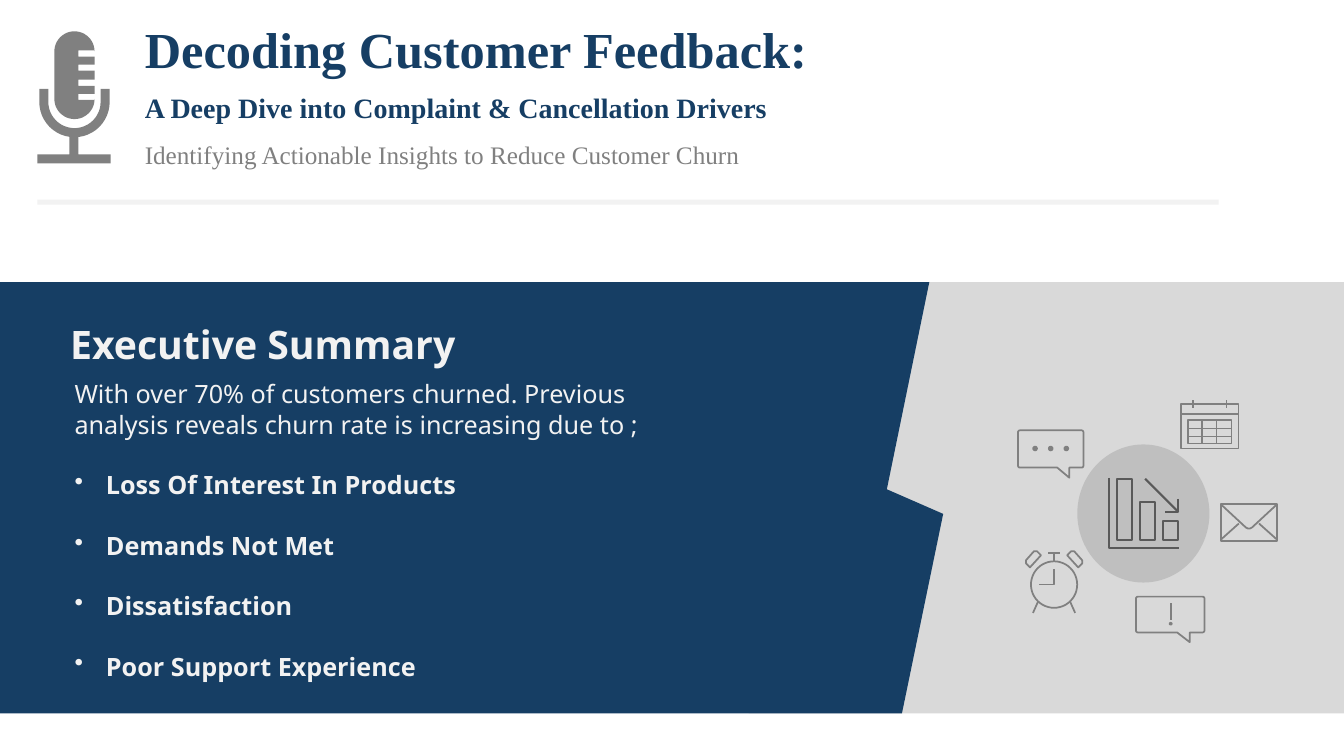
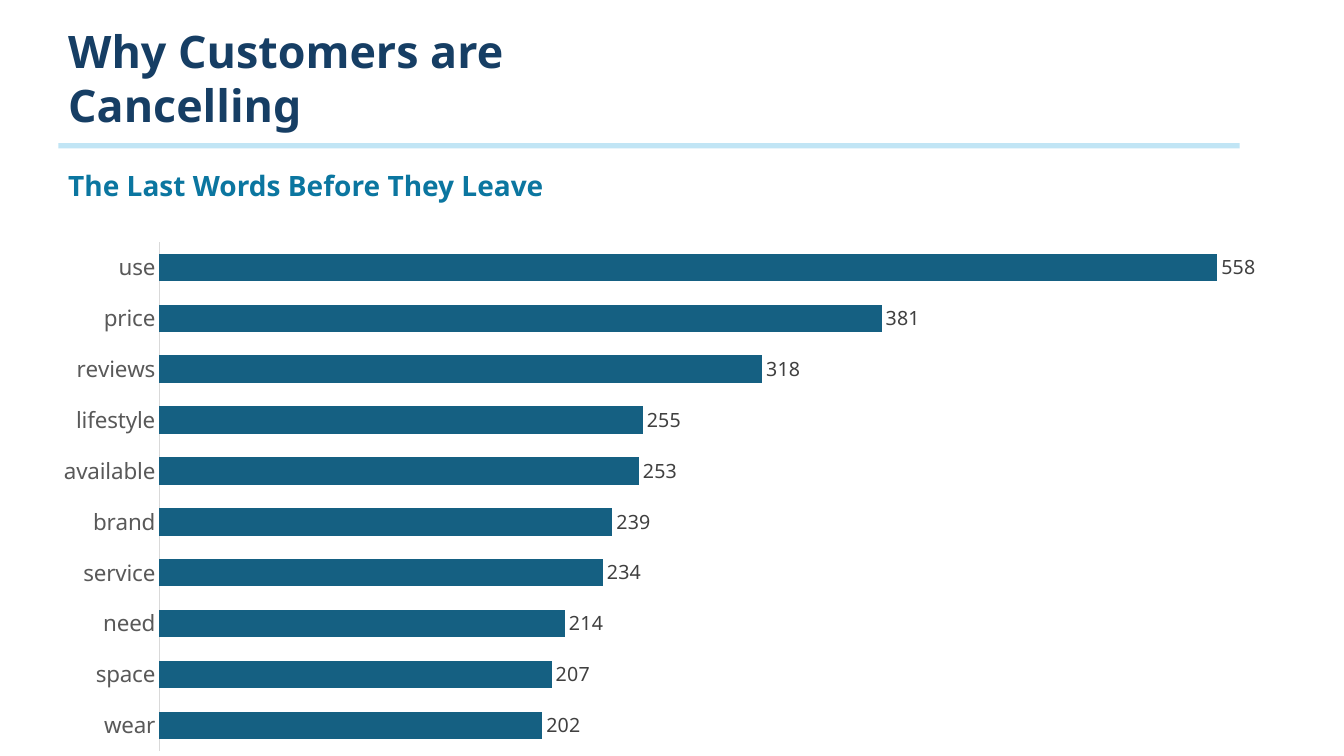
import dataclasses
import math

import lxml.etree
import pptx
import pptx.chart.data
import pptx.dml.color
import pptx.enum.chart
import pptx.enum.shapes
import pptx.oxml.ns
import pptx.util

COLORS = {
    "navy": "163E64",
    "blue": "0B76A0",
    "pale_blue": "C1E5F5",
    "bar": "156082",
    "panel": "D9D9D9",
    "disc": "BFBFBF",
    "grey": "808080",
    "dark_grey": "595959",
    "label": "404040",
    "light": "F2F2F2",
}
SANS = "Noto Sans"
SERIF = "Times New Roman"
LINE_HEIGHT = 1.2
SLIDE_WIDTH, SLIDE_HEIGHT = 33.87, 19.05

REASONS = ["Loss Of Interest In Products", "Demands Not Met",
           "Dissatisfaction", "Poor Support Experience"]
WORD_COUNTS = {
    "wear": 202, "space": 207, "need": 214, "service": 234, "brand": 239,
    "available": 253, "lifestyle": 255, "reviews": 318, "price": 381, "use": 558,
}


@dataclasses.dataclass
class Box:
    """A rectangle in centimetres."""
    left: float
    top: float
    width: float
    height: float

    def lengths(self):
        return [pptx.util.Cm(value) for value in dataclasses.astuple(self)]

    def inner(self, left, top, width, height):
        return Box(self.left + left, self.top + top, width, height)


def rgb(name):
    return pptx.dml.color.RGBColor.from_string(COLORS[name])


def paint(shape, fill=None, line=None, weight=1.25):
    shape.shadow.inherit = False
    if fill:
        shape.fill.solid()
        shape.fill.fore_color.rgb = rgb(fill)
    else:
        shape.fill.background()
    if line:
        shape.line.color.rgb = rgb(line)
        shape.line.width = pptx.util.Pt(weight)
    else:
        shape.line.fill.background()


def add_preset(slide, kind, box, fill):
    shape = slide.shapes.add_shape(kind, *box.lengths())
    paint(shape, fill)


def add_outline(slide, box, grid, contours, fill=None, line=None, weight=1.25, closed=False):
    """Draw contours, given in grid units, stretched to the box."""
    def to_slide(point):
        return (pptx.util.Cm(box.left + point[0] * box.width / grid[0]),
                pptx.util.Cm(box.top + point[1] * box.height / grid[1]))

    first, *others = [[to_slide(point) for point in contour] for contour in contours]
    builder = slide.shapes.build_freeform(*first[0])
    builder.add_line_segments(first[1:], close=closed)
    for contour in others:
        builder.move_to(*contour[0])
        builder.add_line_segments(contour[1:], close=closed)
    paint(builder.convert_to_shape(), fill, line, weight)


def arc(center_x, center_y, radius, start, end, steps=24):
    """Points along an arc; angles in degrees, clockwise from the right."""
    angles = [math.radians(start + (end - start) * step / steps) for step in range(steps + 1)]
    return [(center_x + radius * math.cos(angle), center_y + radius * math.sin(angle))
            for angle in angles]


def rectangle(left, top, right, bottom):
    return [(left, top), (right, top), (right, bottom), (left, bottom), (left, top)]


def add_text(slide, box, lines, size, color, font=SANS, bold=False):
    shape = slide.shapes.add_textbox(*box.lengths())
    frame = shape.text_frame
    frame.word_wrap = True
    for index, line in enumerate(lines):
        paragraph = frame.paragraphs[0] if index == 0 else frame.add_paragraph()
        if font == SANS:
            paragraph.line_spacing = pptx.util.Pt(size * LINE_HEIGHT)
        run = paragraph.add_run()
        run.text = line
        run.font.name = font
        run.font.size = pptx.util.Pt(size)
        run.font.bold = bold
        run.font.color.rgb = rgb(color)
    return frame


def make_bullet(paragraph, gap):
    paragraph.space_before = pptx.util.Pt(gap)
    properties = paragraph._p.get_or_add_pPr()
    indent = pptx.util.Cm(0.79)
    properties.set("marL", str(indent))
    properties.set("indent", str(-indent))
    lxml.etree.SubElement(properties, pptx.oxml.ns.qn("a:buChar"), char="•")


def add_rule(slide, left, top, color):
    add_preset(slide, pptx.enum.shapes.MSO_SHAPE.RECTANGLE, Box(left, top, 29.77, 0.13), color)


def draw_microphone(slide, box):
    grid = (73, 131)
    capsule = arc(37, 20, 20, 180, 360)
    for top in (19, 33, 48, 62):
        capsule += [(57, top), (41, top), (41, top + 6), (57, top + 6)]
    capsule += arc(37, 67, 20, 0, 180)
    yoke = [(2, 57), *arc(37, 70, 35, 180, 0), (72, 57),
            (63, 57), *arc(37, 70, 26, 0, 180), (11, 57)]
    stand = [(32, 104), (41, 104), (41, 122), (73, 122), (73, 131),
             (0, 131), (0, 122), (32, 122)]
    for contour in (capsule, yoke, stand):
        add_outline(slide, box, grid, [contour], fill="grey", closed=True)


def draw_bubble(slide, box, strokes, dots):
    grid = (67, 50)
    bubble = [*arc(3, 3, 2, 180, 270, 6), *arc(64, 3, 2, 270, 360, 6),
              *arc(64, 36, 2, 0, 90, 6), (52, 38), (52, 48), (40, 38),
              *arc(3, 36, 2, 90, 180, 6), (1, 3)]
    add_outline(slide, box, grid, [bubble, *strokes], line="grey")
    add_outline(slide, box, grid, [arc(x, y, radius, 0, 360) for x, y, radius in dots],
                fill="grey", closed=True)


def draw_alarm_clock(slide, box):
    bell = [(14, 2), (18, 6), (7, 18), (3, 14), (3, 11), (11, 2), (14, 2)]
    leg = [(15, 52), (10, 63)]
    sides = [bell, leg]
    sides += [[(62 - x, y) for x, y in contour] for contour in sides]
    face = [arc(31, 35, 23, 0, 360, 48), [(31, 20), (31, 35), (16, 35)]]
    button = [[(31, 12), (31, 4)], [(25, 4), (37, 4)]]
    add_outline(slide, box, (62, 64), sides + face + button, line="grey")


def draw_calendar(slide, box):
    page = [rectangle(1, 5, 58, 49), [(1, 15), (58, 15)]]
    rings = [[(x, 1), (x, 9)] for x in (13, 46)]
    days = [rectangle(8, 21, 51, 44)]
    days += [[(8, y), (51, y)] for y in (29, 37)]
    days += [[(x, 21), (x, 44)] for x in (22, 36)]
    add_outline(slide, box, (59, 50), page + rings + days, line="grey")


def draw_envelope(slide, box):
    flap = [(1, 1), (26, 24), (28, 25), (30, 25), (32, 24), (57, 1)]
    folds = [[(1, 36), (19, 20)], [(57, 36), (39, 20)]]
    add_outline(slide, box, (58, 38), [rectangle(1, 1, 57, 37), flap, *folds], line="grey")


def draw_falling_bars(slide, box):
    axes = [(1, 0), (1, 70), (71, 70)]
    bars = [rectangle(left, top, left + 15, 62) for left, top in ((9, 1), (32, 24), (55, 43))]
    arrow = [[(37, 1), (70, 34)], [(70, 21), (70, 34), (57, 34)]]
    add_outline(slide, box, (71, 71), [axes, *bars, *arrow], line="dark_grey", weight=1.5)


def draw_contact_icons(slide, box):
    draw_bubble(slide, box.inner(0, 0.76, 1.7, 1.27), [],
                [(x, 19, 2.7) for x in (18, 33.5, 49)])
    draw_bubble(slide, box.inner(2.97, 4.95, 1.78, 1.22), [[(34, 8), (34, 25)]],
                [(34, 29, 1.8)])
    draw_alarm_clock(slide, box.inner(0.15, 3.78, 1.57, 1.63))
    draw_calendar(slide, box.inner(4.11, 0, 1.5, 1.27))
    draw_envelope(slide, box.inner(5.11, 2.62, 1.47, 0.97))
    add_preset(slide, pptx.enum.shapes.MSO_SHAPE.OVAL, box.inner(1.52, 1.14, 3.33, 3.48), "disc")
    draw_falling_bars(slide, box.inner(2.29, 1.98, 1.8, 1.8))


def add_headline(slide, box):
    draw_microphone(slide, box.inner(0, 0.46, 1.85, 3.33))
    add_text(slide, box.inner(2.46, 0, 23.4, 1.8), ["Decoding Customer Feedback:"],
             36, "navy", SERIF, True)
    add_text(slide, box.inner(2.46, 1.83, 23.4, 1.12),
             ["A Deep Dive into Complaint & Cancellation Drivers"], 20, "navy", SERIF, True)
    add_text(slide, box.inner(2.46, 3.05, 23.4, 1.02),
             ["Identifying Actionable Insights to Reduce Customer Churn"], 18, "grey", SERIF)
    add_rule(slide, box.left, box.top + 4.7, "light")


def add_summary_band(slide, box):
    panel_left = 18.87
    add_preset(slide, pptx.enum.shapes.MSO_SHAPE.RECTANGLE,
               box.inner(panel_left, 0, box.width - panel_left, box.height), "panel")
    edge = [(0, 0), (23.42, 0), (22.35, 5.22), (23.77, 5.84), (22.73, box.height),
            (0, box.height)]
    add_outline(slide, box, (box.width, box.height), [edge], fill="navy", closed=True)
    draw_contact_icons(slide, box.inner(25.63, 2.95, 6.58, 6.17))

    add_text(slide, box.inner(1.52, 0.84, 12, 1.45), ["Executive Summary"],
             28, "light", bold=True)
    size = 18
    introduction = ("With over 70% of customers churned. Previous analysis reveals "
                    "churn rate is increasing due to ;")
    frame = add_text(slide, box.inner(1.63, 2.31, 16.2, 10.26), [introduction, *REASONS],
                     size, "light")
    for paragraph in frame.paragraphs[1:]:
        paragraph.runs[0].font.bold = True
        make_bullet(paragraph, size * LINE_HEIGHT)


def set_plot_area(chart, **fractions):
    """Fix the inner plot area as fractions of the chart."""
    qn = pptx.oxml.ns.qn
    plot_area = chart._chartSpace.find(".//" + qn("c:plotArea"))
    for layout in plot_area.findall(qn("c:layout")):
        plot_area.remove(layout)
    layout = lxml.etree.Element(qn("c:layout"))
    plot_area.insert(0, layout)
    manual = lxml.etree.SubElement(layout, qn("c:manualLayout"))
    settings = {"layoutTarget": "inner", "xMode": "edge", "yMode": "edge", **fractions}
    for name, value in settings.items():
        lxml.etree.SubElement(manual, qn("c:" + name), val=str(value))


def style_font(font, size, color):
    font.name = SANS
    font.size = pptx.util.Pt(size)
    font.color.rgb = rgb(color)


def add_word_chart(slide, box):
    data = pptx.chart.data.CategoryChartData()
    data.categories = list(WORD_COUNTS)
    data.add_series("Series 1", list(WORD_COUNTS.values()))
    chart = slide.shapes.add_chart(pptx.enum.chart.XL_CHART_TYPE.BAR_CLUSTERED,
                                   *box.lengths(), data).chart
    chart.has_legend = False
    chart.has_title = False
    style_font(chart.font, 10, "label")
    set_plot_area(chart, x=0.092, y=0.029, w=0.896, h=0.971)

    categories = chart.category_axis
    categories.major_tick_mark = pptx.enum.chart.XL_TICK_MARK.NONE
    categories.format.line.color.rgb = rgb("panel")
    categories.format.line.width = pptx.util.Pt(0.75)
    style_font(categories.tick_labels.font, 16, "dark_grey")
    values = chart.value_axis
    values.minimum_scale, values.maximum_scale = 0, 600
    values.has_major_gridlines = False
    values.visible = False

    plot = chart.plots[0]
    plot.gap_width = 85
    plot.vary_by_categories = False
    bars = plot.series[0]
    bars.format.fill.solid()
    bars.format.fill.fore_color.rgb = rgb("bar")
    labels = bars.data_labels
    labels.show_value = True
    labels.position = pptx.enum.chart.XL_LABEL_POSITION.OUTSIDE_END
    style_font(labels.font, 14, "label")


def build_summary_slide(slide):
    add_headline(slide, Box(0.94, 0.33, 29.77, 4.83))
    add_summary_band(slide, Box(0, 7.11, SLIDE_WIDTH, 10.87))


def build_cancelling_slide(slide):
    left = 1.47
    add_text(slide, Box(left, 0.48, 19.8, 3), ["Why Customers are", "Cancelling"],
             32, "navy", bold=True)
    add_text(slide, Box(left, 4.11, 13.2, 1.12), ["The Last Words Before They Leave"],
             20, "blue", bold=True)
    add_rule(slide, left, 3.61, "pale_blue")
    add_word_chart(slide, Box(1.07, 5.72, 32, 13.21))


def main():
    presentation = pptx.Presentation()
    presentation.slide_width = pptx.util.Cm(SLIDE_WIDTH)
    presentation.slide_height = pptx.util.Cm(SLIDE_HEIGHT)
    blank = presentation.slide_layouts[6]
    for build in (build_summary_slide, build_cancelling_slide):
        build(presentation.slides.add_slide(blank))
    presentation.save("out.pptx")


if __name__ == "__main__":
    main()
